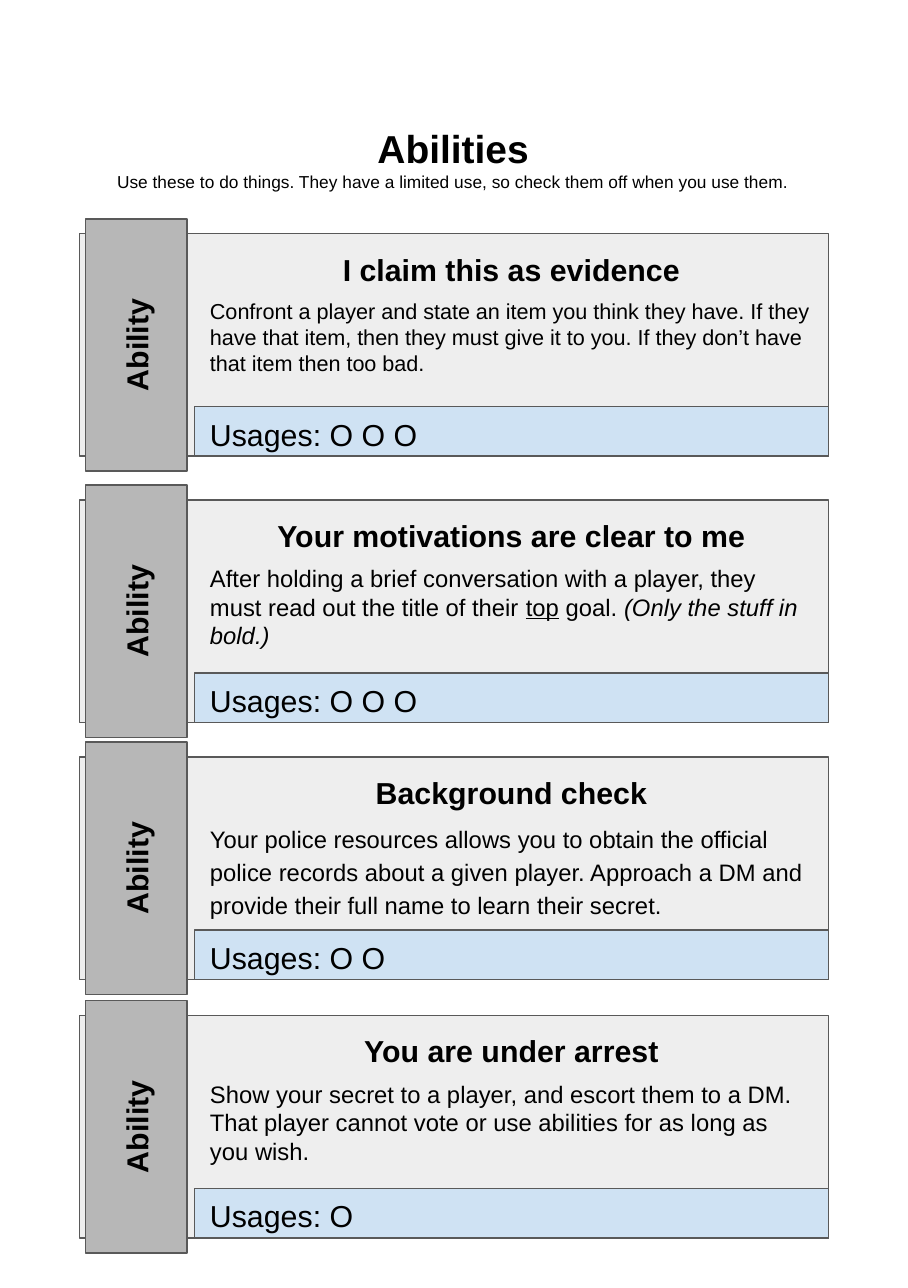
from pptx import Presentation
from pptx import util as u
from pptx.dml.color import RGBColor
from pptx.enum import shapes, text

BLACK = RGBColor(0x00, 0x00, 0x00)
CARD_GREY = RGBColor(0xEE, 0xEE, 0xEE)
TAB_GREY = RGBColor(0xB7, 0xB7, 0xB7)
USAGE_BLUE = RGBColor(0xCF, 0xE2, 0xF3)
OUTLINE = RGBColor(0x59, 0x59, 0x59)

# Columns of the page and rows within a card, in inches
CARD_LEFT, CONTENT_LEFT, CARD_RIGHT = 0.51, 1.25, 5.32
CONTENT_WIDTH = CARD_RIGHT - CONTENT_LEFT
CARD_HEIGHT, USAGE_HEIGHT = 1.43, 0.32
TAB_LENGTH, TAB_DEPTH, TAB_CENTRE = 1.62, 0.65, 0.875
HEADING_ROW, BODY_ROW, USAGE_TEXT_ROW = 0.01, 0.31, 1.07
LINE_HEIGHT = 0.42

LABEL = {"size": u.Pt(14), "bold": True}
USAGE = {"size": u.Pt(14)}

# Top of card, heading, body runs, body size, line spacing, number of usages
abilities = [
    (1.5, "I claim this as evidence",
     [("Confront a player and state an item you think they have. If they have "
       "that item, then they must give it to you. If they don’t have that item "
       "then too bad.", {})], 10, None, 3),
    (3.21, "Your motivations are clear to me",
     [("After holding a brief conversation with a player, they must read out "
       "the title of their ", {}),
      ("top", {"underline": True}),
      (" goal. ", {}),
      ("(Only the stuff in bold.)", {"italic": True})], 11, None, 3),
    (4.86, "Background check",
     [("Your police resources allows you to obtain the official police records "
       "about a given player. Approach a DM and provide their full name to "
       "learn their secret.", {})], 11, 1.15, 2),
    (6.52, "You are under arrest",
     [("Show your secret to a player, and escort them to a DM. That player "
       "cannot vote or use abilities for as long as you wish.", {})],
     11, None, 1),
]

prs = Presentation()
prs.slide_width, prs.slide_height = u.Inches(5.83), u.Inches(8.27)
slide = prs.slides.add_slide(prs.slide_layouts[5])


def write(holder, paragraphs, align, anchor=text.MSO_ANCHOR.TOP, spacing=None):
    """Fill a shape with paragraphs, each a list of (words, font format)."""
    frame = holder.text_frame
    frame_format = {
        "word_wrap": True, "auto_size": text.MSO_AUTO_SIZE.NONE,
        "vertical_anchor": anchor,
        **{f"margin_{side}": u.Inches(0.1)
           for side in ("left", "top", "right", "bottom")},
    }
    for name, value in frame_format.items():
        setattr(frame, name, value)
    for index, runs in enumerate(paragraphs):
        paragraph = frame.add_paragraph() if index else frame.paragraphs[0]
        paragraph.alignment = align
        paragraph.line_spacing = spacing
        for words, font_format in runs:
            run = paragraph.add_run()
            run.text = words
            run.font.color.rgb = BLACK
            for name, value in {"name": "Arial", **font_format}.items():
                setattr(run.font, name, value)


def block(left, top, width, height, colour):
    """Draw an outlined rectangle."""
    panel = slide.shapes.add_shape(
        shapes.MSO_SHAPE.RECTANGLE, *map(u.Inches, (left, top, width, height)))
    panel.shadow.inherit = False
    panel.fill.solid()
    panel.fill.fore_color.rgb = colour
    panel.line.color.rgb = OUTLINE
    panel.line.width = u.Pt(0.75)
    return panel


# Page heading with its instruction
heading = slide.shapes.title
for side, inches in {"left": 0.23, "top": 0.7, "width": 5.36, "height": 0.91}.items():
    setattr(heading, side, u.Inches(inches))
write(heading, [
    [("Abilities", {"size": u.Pt(18), "bold": True})],
    [("Use these to do things. They have a limited use, so check them off "
      "when you use them.", {"size": u.Pt(8), "bold": False})],
], text.PP_ALIGN.CENTER, text.MSO_ANCHOR.TOP)

# Ability cards
for top, name, body, body_size, spacing, uses in abilities:
    block(CARD_LEFT, top, CARD_RIGHT - CARD_LEFT, CARD_HEIGHT, CARD_GREY)

    # Upright tab, turned about its centre
    tab = block(TAB_CENTRE - TAB_LENGTH / 2, top + (CARD_HEIGHT - TAB_DEPTH) / 2,
                TAB_LENGTH, TAB_DEPTH, TAB_GREY)
    tab.rotation = 270
    write(tab, [[("Ability", LABEL)]], text.PP_ALIGN.CENTER,
          text.MSO_ANCHOR.MIDDLE)

    # Usage strip along the bottom
    block(CONTENT_LEFT, top + CARD_HEIGHT - USAGE_HEIGHT,
          CONTENT_WIDTH, USAGE_HEIGHT, USAGE_BLUE)

    # Name, description and usages
    body_runs = [(words, {"size": u.Pt(body_size), **extra})
                 for words, extra in body]
    usage_runs = [("Usages:" + " O" * uses, USAGE)]
    for row, height, runs, align, leading in (
        (HEADING_ROW, LINE_HEIGHT, [(name, LABEL)], text.PP_ALIGN.CENTER, None),
        (BODY_ROW, 0.75, body_runs, text.PP_ALIGN.LEFT, spacing),
        (USAGE_TEXT_ROW, LINE_HEIGHT, usage_runs, text.PP_ALIGN.LEFT, None),
    ):
        entry = slide.shapes.add_textbox(
            *map(u.Inches, (CONTENT_LEFT, top + row, CONTENT_WIDTH, height)))
        write(entry, [runs], align, spacing=leading)

prs.save("out.pptx")
